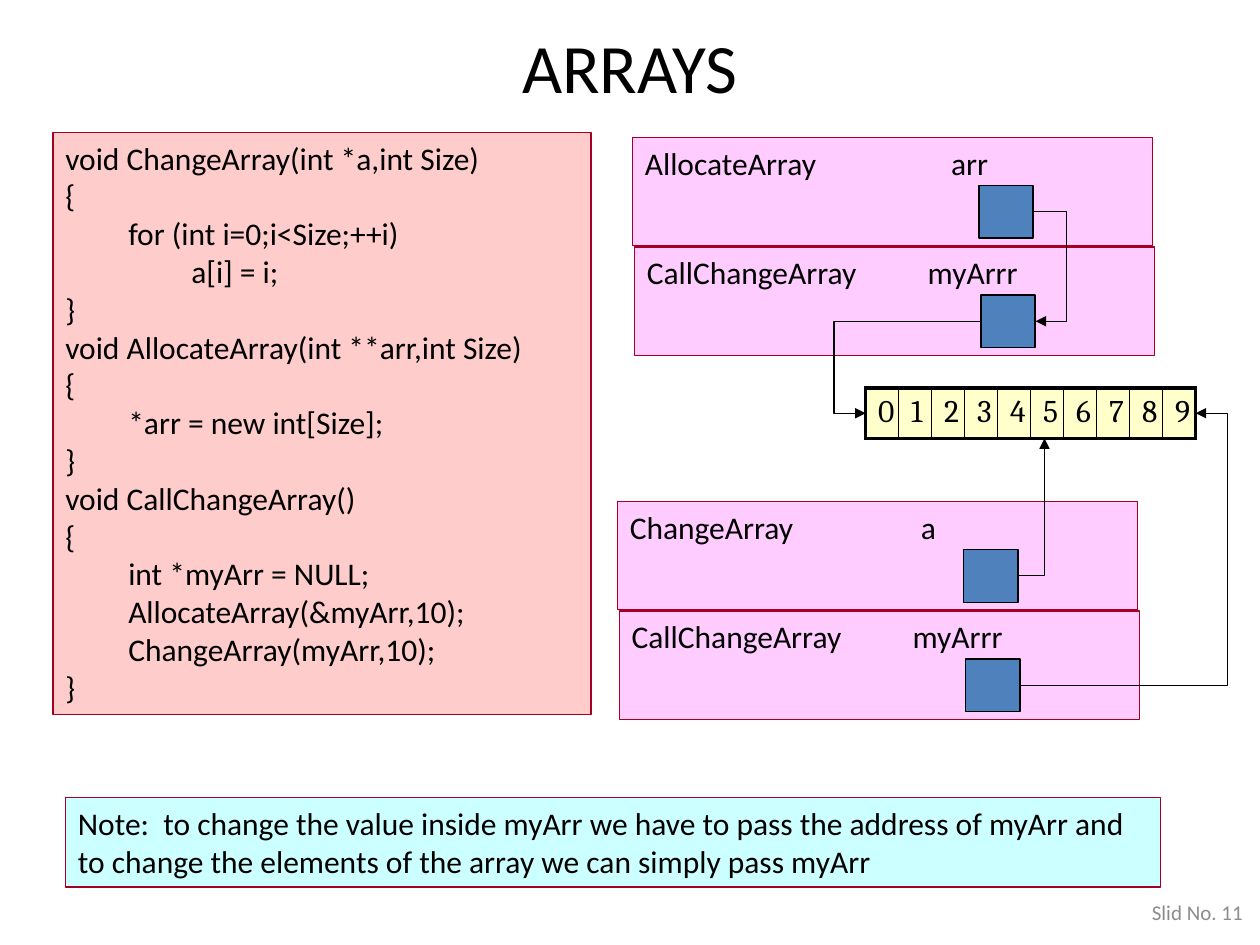
from lxml.etree import SubElement as Sub
from pptx import Presentation
from pptx.dml.color import RGBColor as Rgb
from pptx.enum.shapes import MSO_CONNECTOR as Link, MSO_SHAPE as Form
from pptx.enum.text import MSO_ANCHOR as Anchor, PP_ALIGN as Align
from pptx.oxml.ns import qn
from pptx.util import Inches, Pt

COLS, ROWS = 100, 75
HUES = {"ink": "000000", "edge": "A50021", "code": "FFCCCC", "frame": "FFCCFF",
        "note": "CCFFFF", "cell": "FFFFCC", "box": "4F81BD", "foot": "8C8C8C"}

CODE = """void ChangeArray(int *a,int Size)
{
\tfor (int i=0;i<Size;++i)
\t\ta[i] = i;
}
void AllocateArray(int **arr,int Size)
{
\t*arr = new int[Size];
}
void CallChangeArray()
{
\tint *myArr = NULL;
\tAllocateArray(&myArr,10);
\tChangeArray(myArr,10);
}"""
NOTE = ("Note:  to change the value inside myArr we have to pass the address of "
        "myArr and to change the elements of the array we can simply pass myArr")


class Deck:
    """Hold the style, the grid and the current slide."""

    def __init__(self):
        """Start a deck with one slide that has a title."""
        self.prs = Presentation()
        self.prs.slide_width, self.prs.slide_height = Inches(10), Inches(7.5)
        self.slide = self.prs.slides.add_slide(self.prs.slide_layouts[5])
        self.shapes = self.slide.shapes

    def spot(self, *cells):
        """Turn column and row counts, in turn, into lengths."""
        steps = self.prs.slide_width / COLS, self.prs.slide_height / ROWS
        return [round(n * steps[i % 2]) for i, n in enumerate(cells)]

    def label(self, body, text, size=18, hue="ink", font="Calibri",
              align=Align.LEFT, tab=None):
        """Fill a text frame, one paragraph a line."""
        body.word_wrap = True
        for i, line in enumerate(text.split("\n")):
            para = body.add_paragraph() if i else body.paragraphs[0]
            para.alignment = align
            if tab:
                stops = Sub(para._p.get_or_add_pPr(), qn("a:tabLst"))
                Sub(stops, qn("a:tab"), pos=str(self.spot(tab)[0]), algn="l")
            run = para.add_run()
            run.text = line
            run.font.size, run.font.name = Pt(size), font
            run.font.color.rgb = Rgb.from_string(HUES[hue])

    def title(self, text, *place):
        """Move and fill the title."""
        head = self.shapes.title
        head.left, head.top, head.width, head.height = self.spot(*place)
        head.text_frame.vertical_anchor = Anchor.MIDDLE
        self.label(head.text_frame, text, 39.6, align=Align.CENTER)

    def foot(self, text, *place):
        """Add the slide number."""
        body = self.shapes.add_textbox(*self.spot(*place)).text_frame
        body.vertical_anchor = Anchor.MIDDLE
        self.label(body, text, 12, "foot", align=Align.RIGHT)

    def panel(self, place, hue, text="", edge="edge", tab=None):
        """Add an outlined panel with text at its top left."""
        form = self.shapes.add_shape(Form.RECTANGLE, *self.spot(*place))
        form.shadow.inherit = False
        form.fill.solid()
        form.fill.fore_color.rgb = Rgb.from_string(HUES[hue])
        form.line.color.rgb = Rgb.from_string(HUES[edge])
        form.line.width = Pt(0.75)
        if text:
            form.text_frame.vertical_anchor = Anchor.TOP
            self.label(form.text_frame, text, tab=tab)

    def frame(self, x, y, name, var, tab):
        """Add a call frame with its pointer box."""
        self.panel((x, y, 41.3, 8.6), "frame", f"{name}\t{var}", tab=tab)
        self.panel((x + 27.5, y + 3.8, 4.3, 4.2), "box", edge="ink")

    def strip(self, place, items):
        """Add the array as a table of one row."""
        x, y, wide, high = self.spot(*place)
        grid = self.shapes.add_table(1, len(items), x, y, wide, high).table
        grid.first_row = grid.horz_banding = False
        last = len(items) - 1
        for i, item in enumerate(items):
            grid.columns[i].width = wide // len(items)
            cell = grid.cell(0, i)
            self.label(cell.text_frame, item, font="Cambria", align=Align.CENTER)
            props = cell._tc.get_or_add_tcPr()
            sides = {"L": i == 0, "R": i == last, "T": True, "B": True}
            for side, outer in sides.items():
                line = Sub(props, qn(f"a:ln{side}"), w=str(Pt(2.25 if outer else 1)))
                Sub(Sub(line, qn("a:solidFill")), qn("a:srgbClr"), val=HUES["ink"])
            cell.fill.solid()
            cell.fill.fore_color.rgb = Rgb.from_string(HUES["cell"])

    def arrow(self, x1, y1, x2, y2, bend=None):
        """Add a bent arrow that turns at column bend, or once at its end."""
        link = self.shapes.add_connector(Link.ELBOW, *self.spot(x1, y1, x2, y2))
        link.line.color.rgb = Rgb.from_string(HUES["ink"])
        link.line.width = Pt(0.75)
        Sub(link.line._get_or_add_ln(), qn("a:tailEnd"), type="triangle")
        props = link._element.spPr
        Sub(props, qn("a:effectLst"))
        geom = props.find(qn("a:prstGeom"))
        if bend is None:
            geom.set("prst", "bentConnector2")
            return
        share = round((bend - x1) / (x2 - x1) * 100000)
        Sub(geom.find(qn("a:avLst")), qn("a:gd"), name="adj1", fmla=f"val {share}")


def main():
    """Build the slide and save it."""
    deck = Deck()
    deck.foot("Slid No. 11 ", 75, 69.8, 25, 5.2)
    deck.title("ARRAYS", 5, 1.7, 90, 7)
    deck.panel((4.2, 10.5, 42.7, 46.2), "code", CODE)
    for x, y, name, var, tab in ((50.2, 10.9, "AllocateArray", "arr", 24.3),
                                 (49, 39.8, "ChangeArray", "a", 23.1)):
        deck.frame(x, y, name, var, tab)
        deck.frame(x + 0.15, y + 8.7, "CallChangeArray", "myArrr", 22.3)
    deck.strip((68.7, 30.8, 26.2, 4), "0123456789")
    deck.arrow(82.1, 16.8, 82.2, 25.5, 84.7)
    deck.arrow(77.9, 25.5, 68.7, 32.8, 66.2)
    deck.arrow(80.8, 45.7, 82.9, 34.8)
    deck.arrow(81, 54.4, 94.9, 32.8, 97.4)
    deck.panel((5.2, 63.3, 86.9, 7.1), "note", NOTE)
    deck.prs.save("out.pptx")


main()
